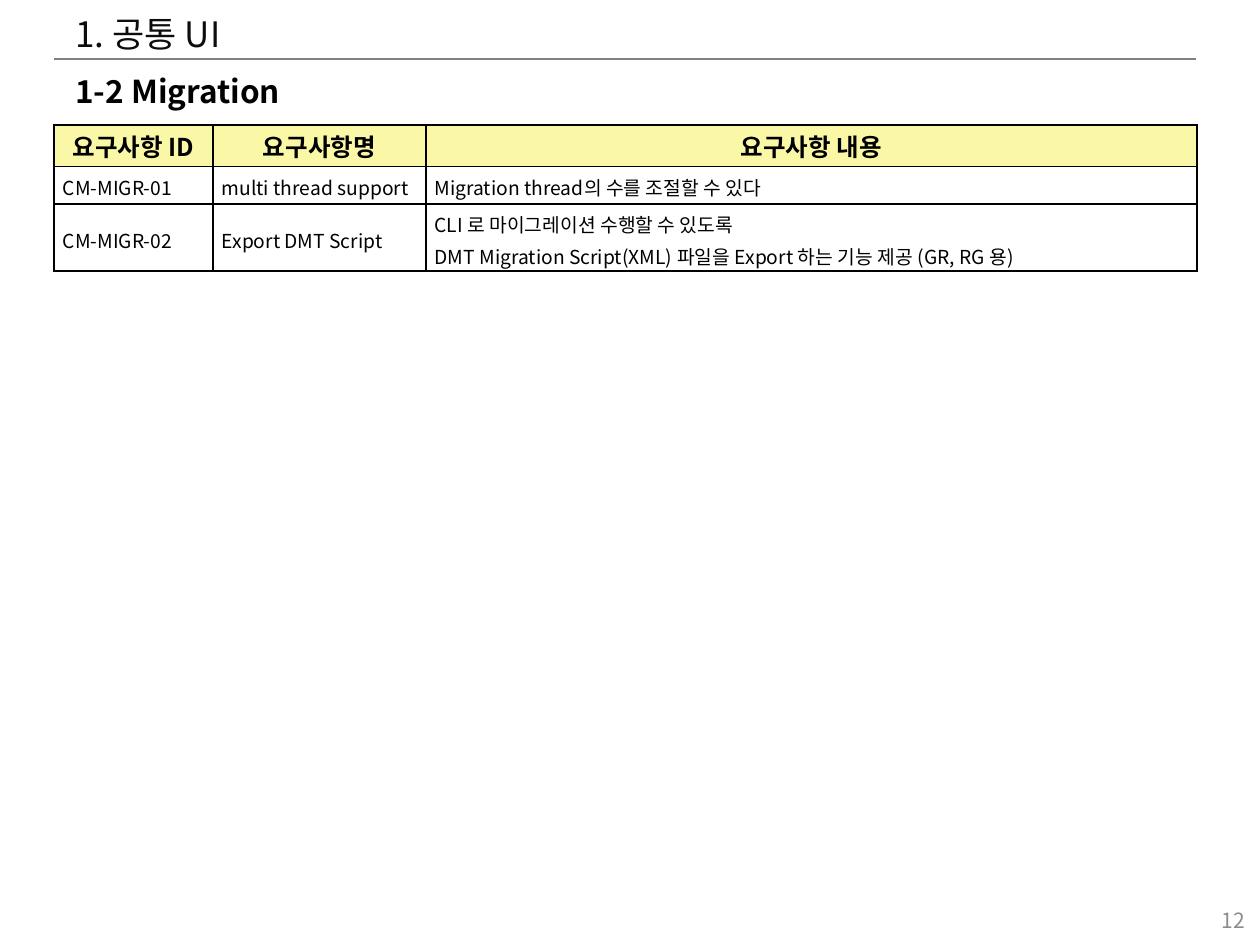
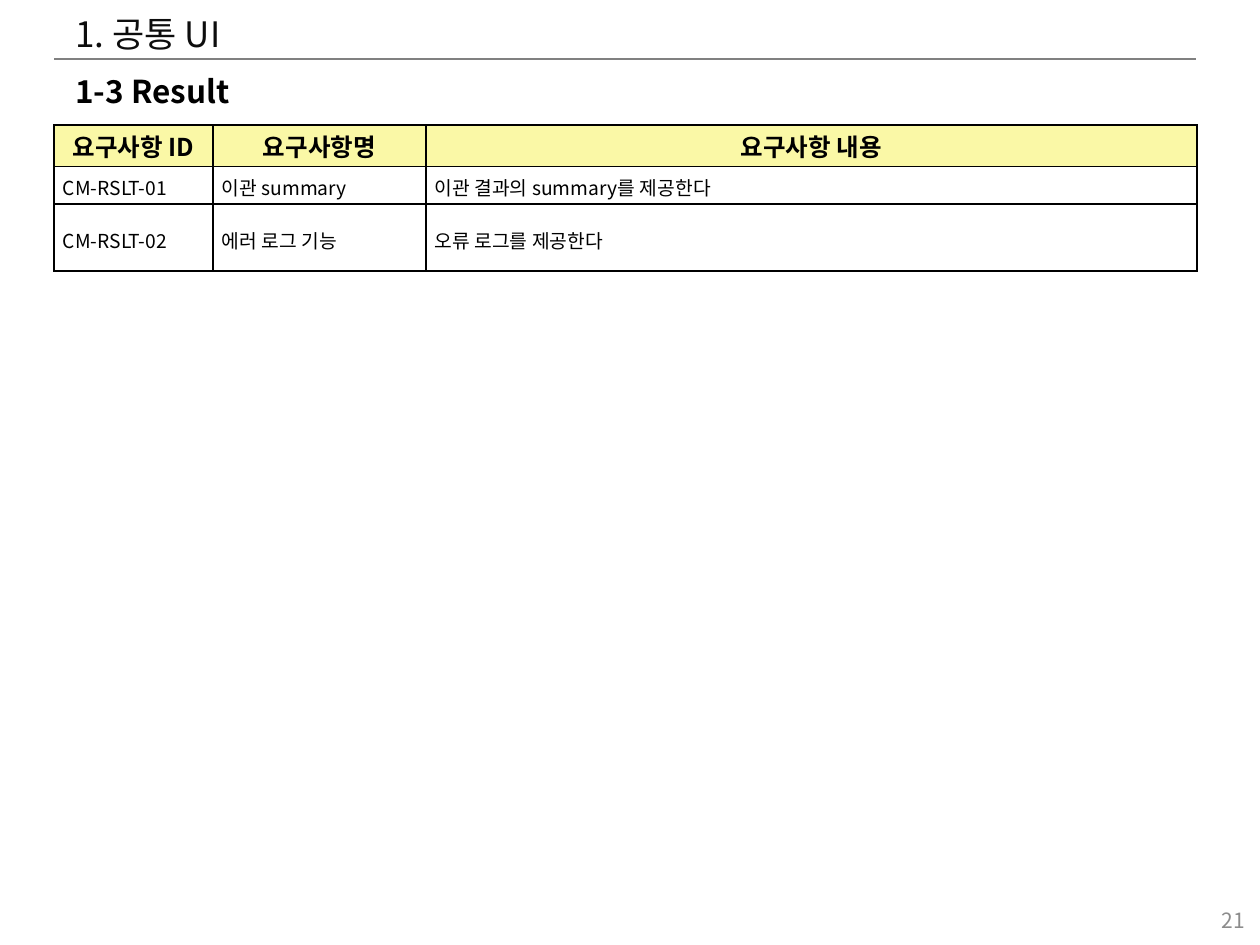
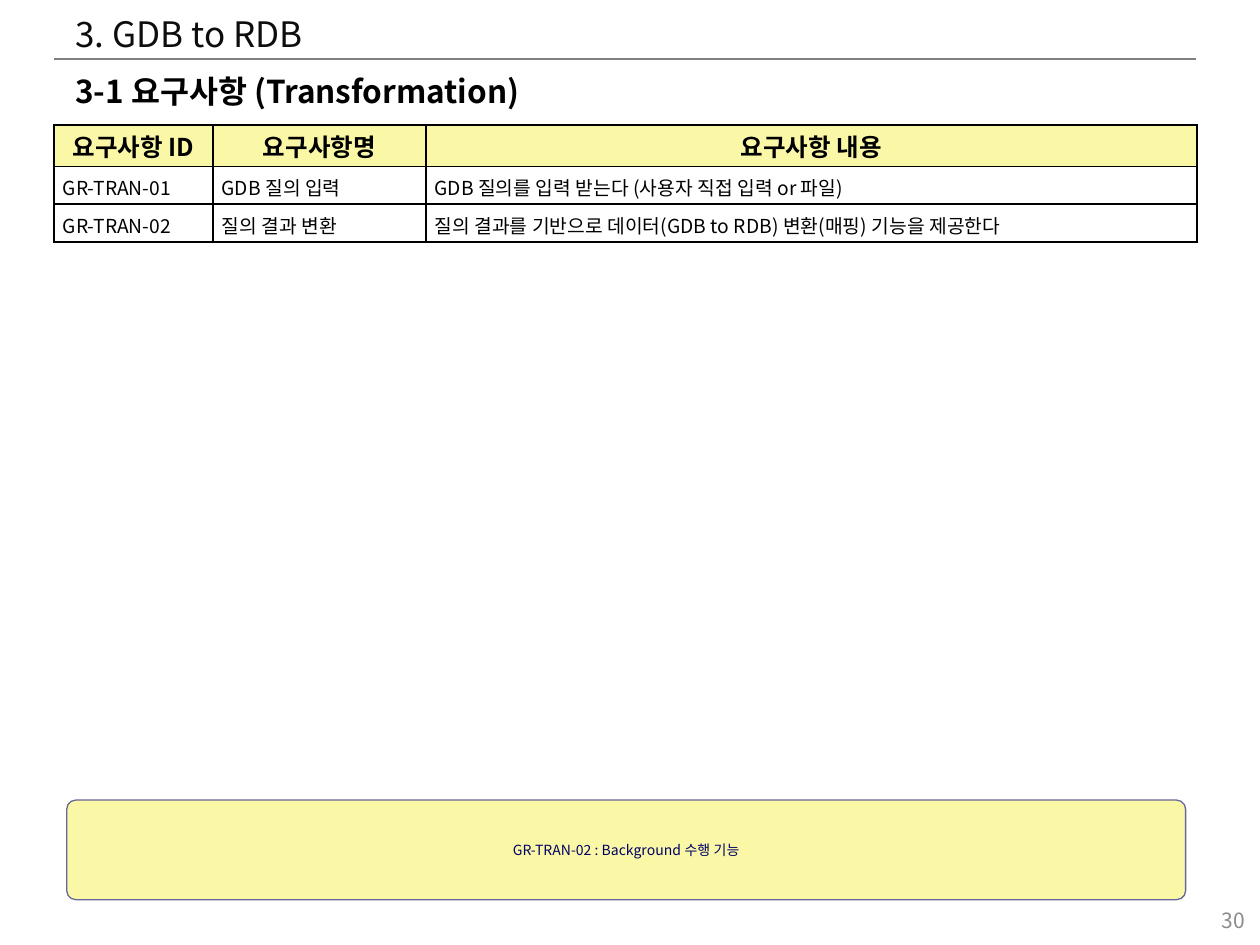
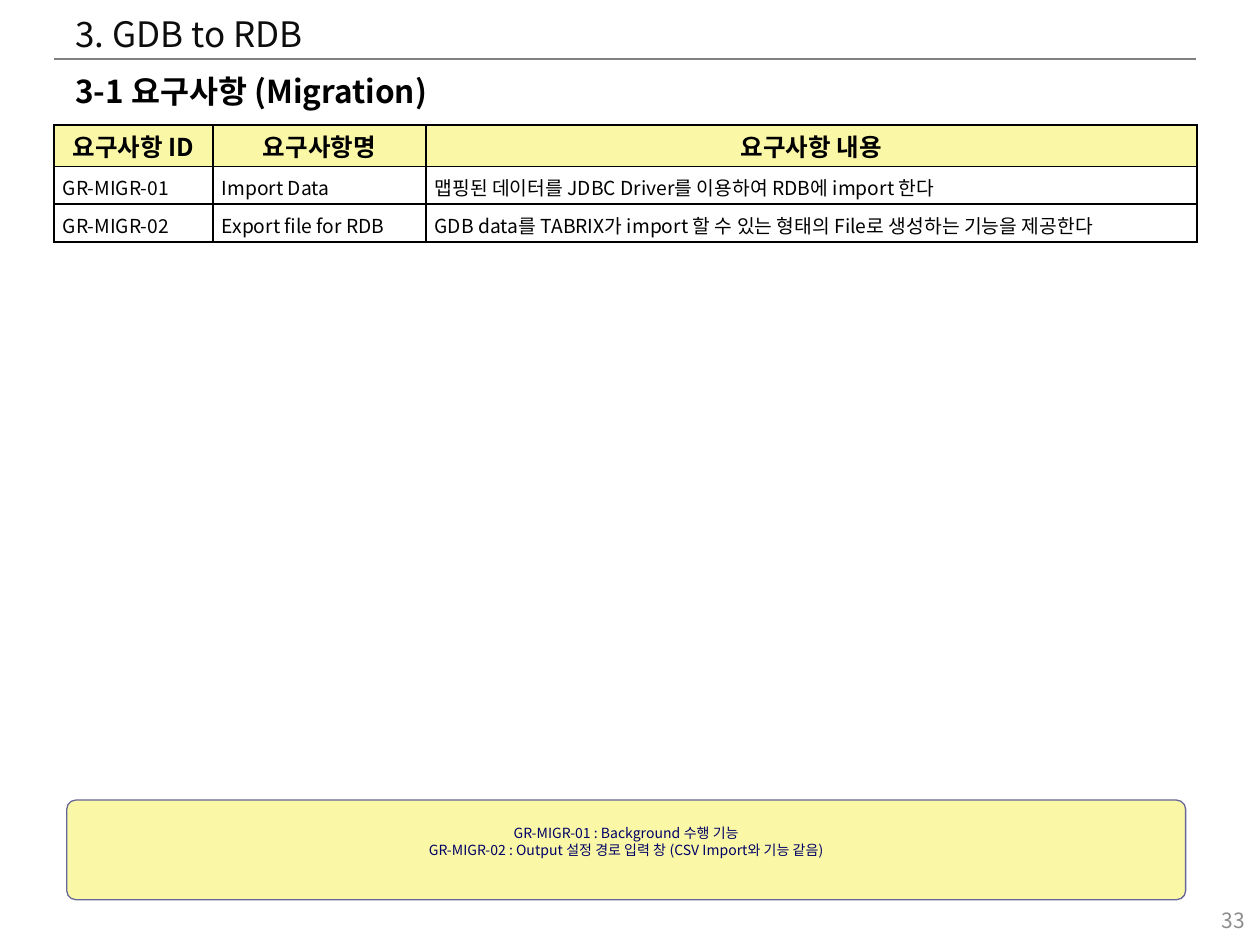
from copy import deepcopy

from lxml import etree
from pptx import Presentation, util as u
from pptx.dml.color import RGBColor
from pptx.enum import shapes, text
from pptx.oxml import ns

FONT = "Noto Sans CJK KR"
HUES = {
    "ink": "000000", "title": "0D0D0D", "page": "8C8C8C", "rule": "808080",
    "pale": "FAF8A6", "white": "FFFFFF", "edge": "666699", "note": "000066",
}
MID = text.MSO_ANCHOR.MIDDLE
MARGINS = ("margin_left", "margin_top", "margin_right", "margin_bottom")
LEFT, RIGHT = 0.43, 9.49
COLS = (1.26, 1.69, 6.12)
HEADS = ("요구사항 ID", "요구사항명", "요구사항 내용")

STYLES = {
    "title": {"size": 20, "hue": "title"},
    "sub": {"size": 18, "hue": "ink", "bold": True},
    "page": {"size": 12, "hue": "page",
             "para": {"alignment": text.PP_ALIGN.RIGHT}},
    "head": {"size": 14, "hue": "ink", "bold": True,
             "para": {"alignment": text.PP_ALIGN.CENTER, "space_before": u.Pt(2.8)}},
    "cell": {"size": 11, "hue": "ink",
             "para": {"line_spacing": 1.15, "space_after": u.Pt(2)}},
    "note": {"size": 8, "hue": "note",
             "para": {"alignment": text.PP_ALIGN.CENTER}},
}

SLIDES = [
    {"title": "1. 공통 UI", "sub": "1-2 Migration", "page": "12", "last": 0.53, "rows": [
        ("CM-MIGR-01", "multi thread support", "Migration thread의 수를 조절할 수 있다"),
        ("CM-MIGR-02", "Export DMT Script",
         "CLI 로 마이그레이션 수행할 수 있도록\n"
         "DMT Migration Script(XML) 파일을 Export 하는 기능 제공 (GR, RG 용)"),
    ]},
    {"title": "1. 공통 UI", "sub": "1-3 Result", "page": "21", "last": 0.53, "rows": [
        ("CM-RSLT-01", "이관 summary", "이관 결과의 summary를 제공한다"),
        ("CM-RSLT-02", "에러 로그 기능", "오류 로그를 제공한다"),
    ]},
    {"title": "3. GDB to RDB", "sub": "3-1 요구사항 (Transformation)", "page": "30",
     "last": 0.3, "rows": [
        ("GR-TRAN-01", "GDB 질의 입력", "GDB 질의를 입력 받는다 (사용자 직접 입력 or 파일)"),
        ("GR-TRAN-02", "질의 결과 변환",
         "질의 결과를 기반으로 데이터(GDB to RDB) 변환(매핑) 기능을 제공한다"),
     ], "note": "GR-TRAN-02 : Background 수행 기능"},
    {"title": "3. GDB to RDB", "sub": "3-1 요구사항 (Migration)", "page": "33",
     "last": 0.3, "rows": [
        ("GR-MIGR-01", "Import Data", "맵핑된 데이터를 JDBC Driver를 이용하여 RDB에 import 한다"),
        ("GR-MIGR-02", "Export file for RDB",
         "GDB data를 TABRIX가 import 할 수 있는 형태의 File로 생성하는 기능을 제공한다"),
     ], "note": "GR-MIGR-01 : Background 수행 기능\n"
                "GR-MIGR-02 : Output 설정 경로 입력 창 (CSV Import와 기능 같음)",
     "lift": 0.13},
]


def hue(name):
    return RGBColor.from_string(HUES[name])


def inches(box):
    return [u.Inches(n) for n in box]


def apply(thing, values):
    for name, value in values.items():
        setattr(thing, name, value)


def write(frame, words, kind):
    style = STYLES[kind]
    para = frame.paragraphs[0]
    para.text = words
    apply(para, style.get("para", {}))
    for run in para.runs:
        apply(run.font, {"name": FONT, "size": u.Pt(style["size"]),
                         "bold": style.get("bold", False)})
        run.font.color.rgb = hue(style["hue"])
        east = etree.SubElement(run.font._element, ns.qn("a:ea"))
        east.set("typeface", FONT)
    for gap in para._p.findall(ns.qn("a:br")):
        gap.append(deepcopy(para.runs[0].font._element))


def label(slide, box, words, kind, anchor=text.MSO_ANCHOR.TOP):
    frame = slide.shapes.add_textbox(*inches(box)).text_frame
    apply(frame, {"word_wrap": True, "vertical_anchor": anchor})
    write(frame, words, kind)


def frame_page(slide, data):
    line = slide.shapes.add_connector(
        shapes.MSO_CONNECTOR.STRAIGHT, *inches((LEFT, 0.47, RIGHT, 0.47)))
    line.line.width = u.Pt(1.25)
    line.line.color.rgb = hue("rule")
    etree.SubElement(line._element.spPr, ns.qn("a:effectLst"))
    label(slide, (0.5, 0.05, 9, 0.54), data["title"], "title")
    label(slide, (7.65, 7.1, 2.33, 0.4), data["page"], "page", MID)
    label(slide, (0.5, 0.52, 9, 0.4), data["sub"], "sub")


def border(cell):
    props = cell._tc.get_or_add_tcPr()
    for side in ("lnL", "lnR", "lnT", "lnB"):
        edge = etree.SubElement(props, ns.qn("a:" + side), w=str(u.Pt(1)))
        fill = etree.SubElement(edge, ns.qn("a:solidFill"))
        etree.SubElement(fill, ns.qn("a:srgbClr"), val=HUES["ink"])


def grid(slide, left, top, rows, last):
    tall = (0.33, 0.3, last)
    box = (left, top, sum(COLS), sum(tall))
    table = slide.shapes.add_table(len(tall), len(COLS), *inches(box)).table
    apply(table, {"first_row": False, "horz_banding": False})
    for col, wide in zip(table.columns, COLS):
        col.width = u.Inches(wide)
    for r, words in enumerate([HEADS, *rows]):
        table.rows[r].height = u.Inches(tall[r])
        kind, back, pads = (("cell", "white", (0.07, 0, 0.07, 0)) if r
                            else ("head", "pale", (0.01, 0.01, 0.01, 0)))
        for c, word in enumerate(words):
            cell = table.cell(r, c)
            border(cell)
            cell.fill.solid()
            cell.fill.fore_color.rgb = hue(back)
            apply(cell, dict(zip(MARGINS, inches(pads)), vertical_anchor=MID))
            write(cell.text_frame, word, kind)


def note(slide, box, words, lift):
    card = slide.shapes.add_shape(
        shapes.MSO_SHAPE.ROUNDED_RECTANGLE, *inches(box))
    card.adjustments[0] = 0.09
    card.shadow.inherit = False
    card.fill.solid()
    card.fill.fore_color.rgb = hue("pale")
    card.line.color.rgb = hue("edge")
    card.line.width = u.Pt(0.75)
    pads = inches((0, 0, 0, lift))
    apply(card.text_frame, dict(zip(MARGINS, pads), vertical_anchor=MID, word_wrap=True))
    write(card.text_frame, words, "note")


def main():
    deck = Presentation()
    apply(deck, {"slide_width": u.Inches(10), "slide_height": u.Inches(7.5)})
    for data in SLIDES:
        slide = deck.slides.add_slide(deck.slide_layouts[6])
        frame_page(slide, data)
        grid(slide, LEFT, 0.99, data["rows"], data["last"])
        if "note" in data:
            note(slide, (0.53, 6.35, 8.88, 0.79), data["note"], data.get("lift", 0))
    deck.save("out.pptx")


if __name__ == "__main__":
    main()
